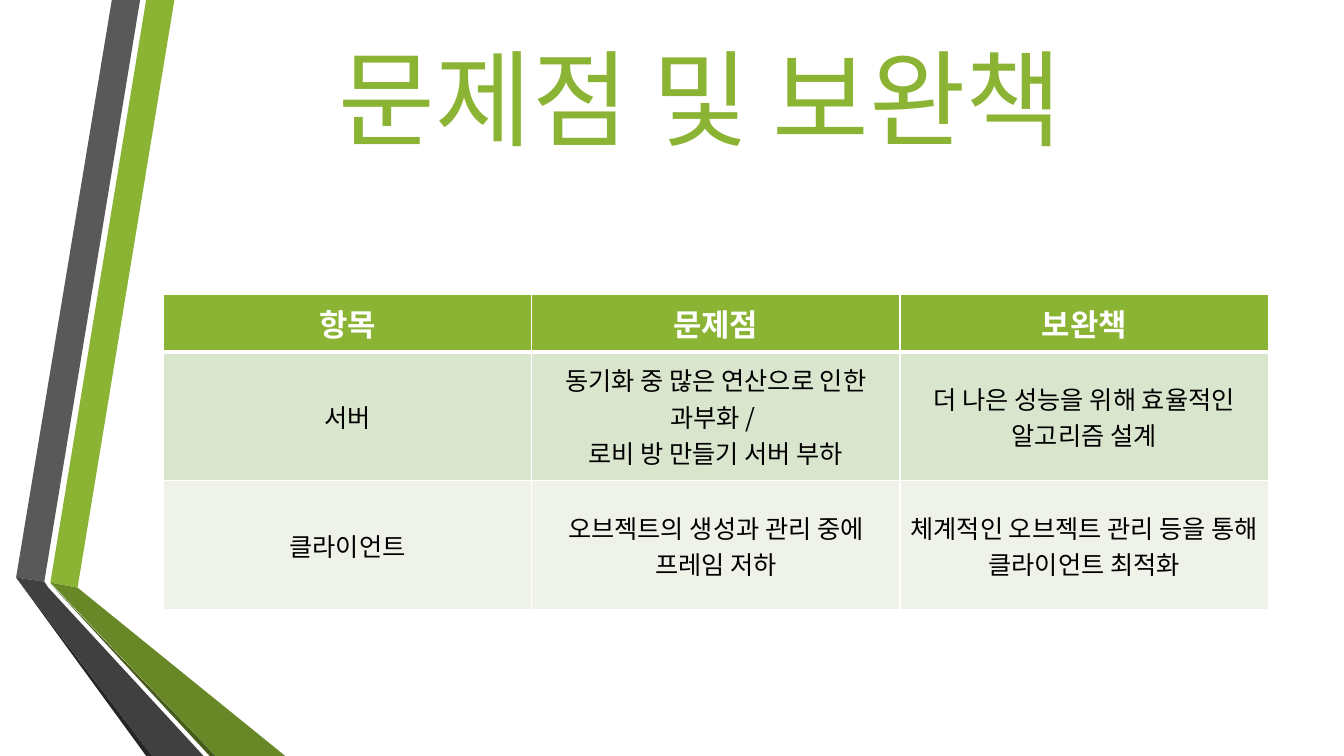
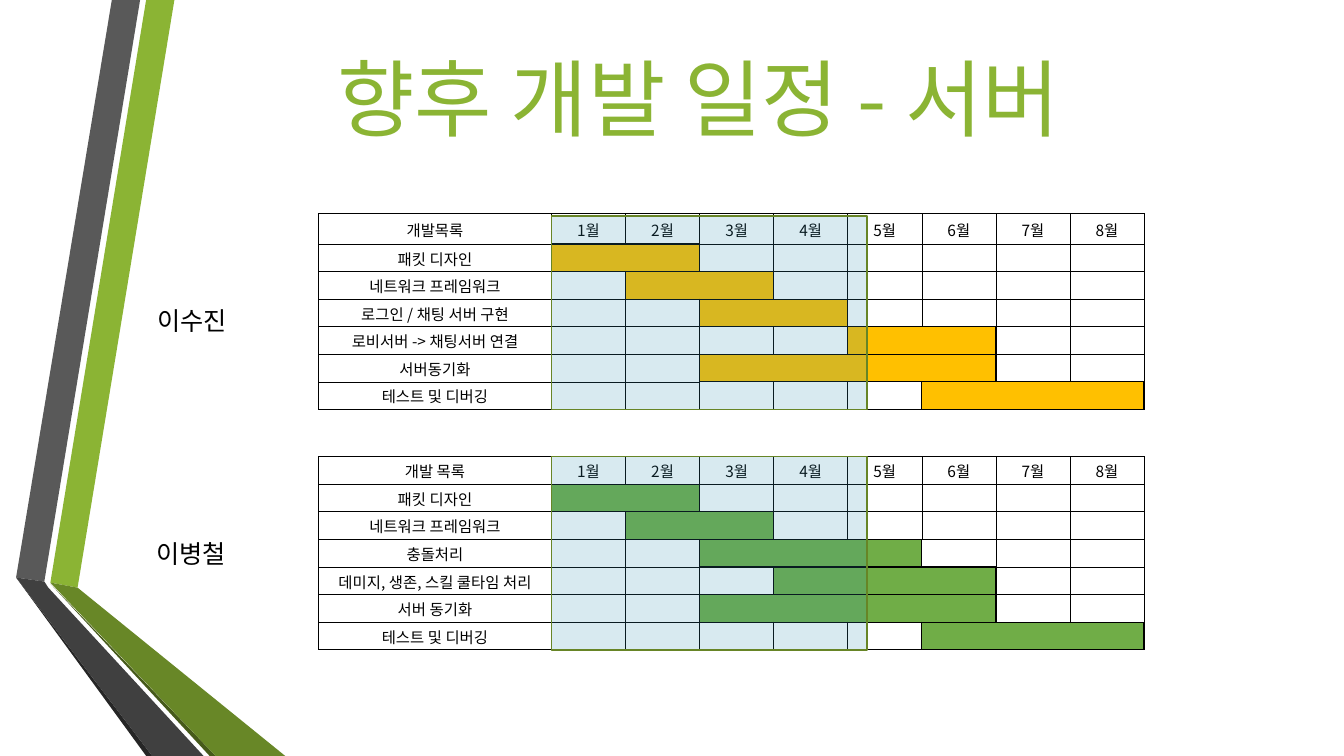
from lxml import etree
from pptx import Presentation
from pptx.dml.color import RGBColor
from pptx.enum.shapes import MSO_SHAPE
from pptx.enum.text import MSO_ANCHOR, PP_ALIGN
from pptx.oxml.ns import qn
from pptx.util import Inches, Pt

CENTER, LEFT = PP_ALIGN.CENTER, PP_ALIGN.LEFT
MIDDLE, TOP = MSO_ANCHOR.MIDDLE, MSO_ANCHOR.TOP
RECTANGLE = MSO_SHAPE.RECTANGLE

WHITE = RGBColor(0xFF, 0xFF, 0xFF)
BLACK = RGBColor(0x00, 0x00, 0x00)
GREEN = RGBColor(0x8B, 0xB4, 0x34)
GREEN_FOLD = RGBColor(0x68, 0x87, 0x27)
GREEN_EDGE = RGBColor(0x46, 0x5A, 0x1A)
GRAY = RGBColor(0x59, 0x59, 0x59)
GRAY_FOLD = RGBColor(0x40, 0x40, 0x40)
GRAY_EDGE = RGBColor(0x26, 0x26, 0x26)
ROW_TINTS = (RGBColor(0xDA, 0xE5, 0xCE), RGBColor(0xEE, 0xF2, 0xE8))
SERVER_BAR = RGBColor(0xFF, 0xC0, 0x00)
CLIENT_BAR = RGBColor(0x70, 0xAD, 0x47)
ELAPSED_FILL = RGBColor(0x35, 0x94, 0xB4)
ELAPSED_LINE = RGBColor(0x67, 0x85, 0x26)

KOREAN_FONT, LATIN_FONT = "Noto Sans CJK KR", "Calibri"
SLIDE_W, SLIDE_H = 13.33, 7.5
CONTENT_W = 10.96

RIBBONS = (
    (GREEN, ((0.5, 5.78), (0.77, 5.83), (1.73, 0), (1.45, 0))),
    (GRAY, ((1.39, 0), (1.11, 0), (0.16, 5.73), (0.44, 5.77))),
    (GRAY_EDGE, ((0.16, 5.73), (1.45, SLIDE_H), (1.51, SLIDE_H))),
    (GREEN_EDGE, ((0.5, 5.79), (2.08, SLIDE_H), (2.14, SLIDE_H))),
    (GREEN_FOLD, ((0.5, 5.78), (2.14, SLIDE_H), (2.83, SLIDE_H), (0.77, 5.83))),
    (GRAY_FOLD, ((2.02, SLIDE_H), (0.48, 5.83), (0.44, 5.77), (0.16, 5.73),
                 (1.51, SLIDE_H))),
)

ISSUES = (
    ("항목", "문제점", "보완책"),
    ("서버", "동기화 중 많은 연산으로 인한 과부화 / \n로비 방 만들기 서버 부하",
     "더 나은 성능을 위해 효율적인 알고리즘 설계"),
    ("클라이언트", "오브젝트의 생성과 관리 중에 프레임 저하",
     "체계적인 오브젝트 관리 등을 통해 클라이언트 최적화"),
)

MONTHS = 8
ELAPSED_MONTHS = 4.26
TASK_W, MONTH_W = 2.31, 0.735
TASK_H = 0.274
# Each task: name, first month, last month
SERVER_TASKS = (
    ("패킷 디자인", 1, 2),
    ("네트워크 프레임워크", 2, 3),
    ("로그인 / 채팅 서버 구현", 3, 4),
    ("로비서버 -> 채팅서버 연결", 5, 6),
    ("서버동기화", 3, 6),
    ("테스트 및 디버깅", 6, 8),
)
CLIENT_TASKS = (
    ("패킷 디자인", 1, 2),
    ("네트워크 프레임워크", 2, 3),
    ("충돌처리", 3, 5),
    ("데미지, 생존, 스킬 쿨타임 처리", 4, 6),
    ("서버 동기화", 3, 6),
    ("테스트 및 디버깅", 6, 8),
)


def write(frame, text, size, color, bold=False, align=CENTER, latin=KOREAN_FONT):
    """Fill a text frame, one paragraph for each line of text."""
    frame.word_wrap = True
    for index, line in enumerate(text.split("\n")):
        paragraph = frame.add_paragraph() if index else frame.paragraphs[0]
        paragraph.alignment = align
        if not line:
            etree.SubElement(paragraph._p, qn("a:endParaRPr"), sz=str(size * 100))
            continue
        run = paragraph.add_run()
        run.text = line
        run.font.size, run.font.bold, run.font.name = Pt(size), bold, latin
        run.font.color.rgb = color
        etree.SubElement(run._r.get_or_add_rPr(), qn("a:ea"), typeface=KOREAN_FONT)


def add_text(slide, box, text, size, color, anchor=MIDDLE, **style):
    frame = slide.shapes.add_textbox(*map(Inches, box)).text_frame
    frame.vertical_anchor = anchor
    write(frame, text, size, color, **style)


def add_ribbons(slide):
    for color, corners in RIBBONS:
        start, *others = [(Inches(x), Inches(y)) for x, y in corners]
        outline = slide.shapes.build_freeform(*start)
        outline.add_line_segments(others, close=True)
        ribbon = outline.convert_to_shape()
        ribbon.shadow.inherit = False
        ribbon.fill.solid()
        ribbon.fill.fore_color.rgb = color
        ribbon.line.fill.background()


def add_titled_slide(deck, title, size, left):
    slide = deck.slides.add_slide(deck.slide_layouts[6])
    add_ribbons(slide)
    add_text(slide, (left, 0, CONTENT_W, 1.92), title, size, GREEN)
    return slide


def add_grid(slide, left, top, widths, heights):
    grid = slide.shapes.add_table(
        len(heights), len(widths), Inches(left), Inches(top),
        Inches(sum(widths)), Inches(sum(heights))).table
    grid.first_row = grid.horz_banding = False
    for column, width in zip(grid.columns, widths):
        column.width = Inches(width)
    for row, height in zip(grid.rows, heights):
        row.height = Inches(height)
    return grid


def style_cell(cell, fill, border, width, **edge_widths):
    """Set borders and fill; edge_widths overrides single edges L, R, T or B."""
    properties = cell._tc.get_or_add_tcPr()
    for edge in "LRTB":
        points = edge_widths.get(edge, width)
        line = etree.SubElement(properties, qn(f"a:ln{edge}"), w=str(Pt(points)))
        solid = etree.SubElement(line, qn("a:solidFill"))
        etree.SubElement(solid, qn("a:srgbClr"), val=str(border))
    cell.fill.solid()
    cell.fill.fore_color.rgb = fill
    cell.vertical_anchor = MIDDLE


def add_issue_table(slide, left, top):
    columns = len(ISSUES[0])
    grid = add_grid(slide, left, top, [CONTENT_W / columns] * columns,
                    (0.57, 1.28, 1.28))
    for r, row in enumerate(ISSUES):
        for c, text in enumerate(row):
            cell = grid.cell(r, c)
            if r == 0:
                style_cell(cell, GREEN, WHITE, 1, B=3)
                write(cell.text_frame, text, 22, WHITE, bold=True)
            else:
                edges = {"T": 3} if r == 1 else {}
                style_cell(cell, ROW_TINTS[r - 1], WHITE, 1, **edges)
                write(cell.text_frame, text, 18, BLACK)


def add_schedule(slide, left, top, heading, header_h, tasks, bar_color):
    """Draw a month grid whose merged cells are the bars of the tasks."""
    grid = add_grid(slide, left, top, [TASK_W] + [MONTH_W] * MONTHS,
                    [header_h] + [TASK_H] * len(tasks))
    months = [f"{month}월" for month in range(1, MONTHS + 1)]
    rows = [(heading, 0, -1), *tasks]
    for r, (name, first, last) in enumerate(rows):
        labels = [name] + (months if r == 0 else [""] * MONTHS)
        for c, label in enumerate(labels):
            cell = grid.cell(r, c)
            cell.margin_left = cell.margin_right = cell.margin_top = Inches(0.01)
            cell.margin_bottom = 0
            in_bar = first <= c <= last
            style_cell(cell, bar_color if in_bar else WHITE, BLACK,
                       1 if in_bar else 0.5)
            write(cell.text_frame, label, 11, BLACK)
        if first:
            grid.cell(r, first).merge(grid.cell(r, last))


def add_elapsed_period(slide, left, bottom):
    """Lay a see-through box over the months already worked."""
    height = TASK_H * 7
    period = slide.shapes.add_shape(
        RECTANGLE, Inches(left), Inches(bottom - height),
        Inches(MONTH_W * ELAPSED_MONTHS), Inches(height))
    period.shadow.inherit = False
    period.fill.solid()
    period.fill.fore_color.rgb = ELAPSED_FILL
    tint = period.fill._xPr.find(f"{qn('a:solidFill')}/{qn('a:srgbClr')}")
    etree.SubElement(tint, qn("a:alpha"), val="19000")
    period.line.color.rgb = ELAPSED_LINE
    period.line.width = Pt(1.25)


def build_issue_slide(deck):
    slide = add_titled_slide(deck, "문제점 및 보완책", 75, 1.47)
    add_issue_table(slide, 1.62, 2.92)


def build_schedule_slide(deck):
    slide = add_titled_slide(deck, "향후 개발 일정 - 서버", 60, 1.45)
    left = 3.16
    plans = (
        ("이수진", 1.46, 2.98, 2.12, "개발목록", 0.3, SERVER_TASKS, SERVER_BAR),
        ("이병철", 1.45, 5.29, 4.53, "개발 목록", TASK_H, CLIENT_TASKS, CLIENT_BAR),
    )
    for owner, owner_x, owner_y, top, heading, header_h, tasks, color in plans:
        add_schedule(slide, left, top, heading, header_h, tasks, color)
        add_text(slide, (owner_x, owner_y, 1.04, 0.4), owner, 18, BLACK,
                 anchor=TOP, align=LEFT, latin=LATIN_FONT)
        bottom = top + header_h + TASK_H * len(tasks)
        add_elapsed_period(slide, left + TASK_W, bottom)


def main():
    deck = Presentation()
    deck.slide_width, deck.slide_height = Inches(SLIDE_W), Inches(SLIDE_H)
    build_issue_slide(deck)
    build_schedule_slide(deck)
    deck.save("out.pptx")


if __name__ == "__main__":
    main()
